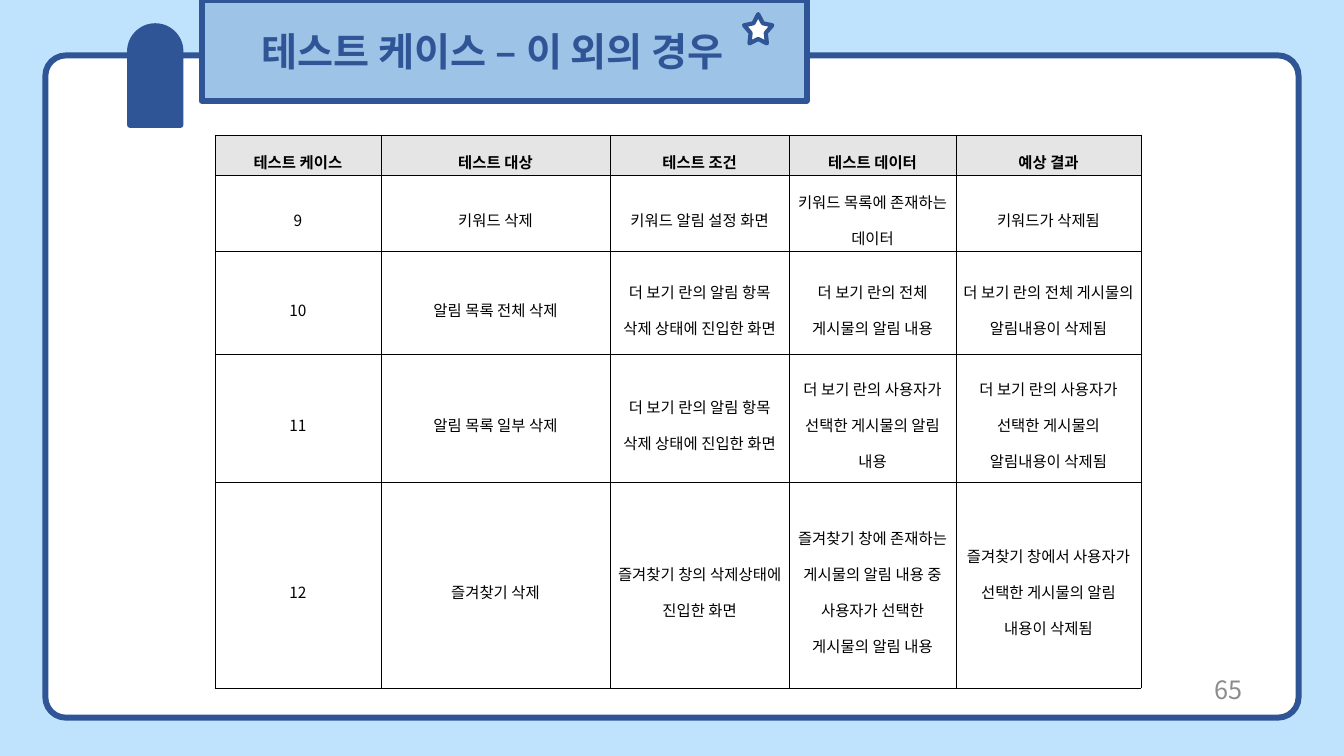
from lxml import etree
from pptx import Presentation
from pptx.dml.color import RGBColor
from pptx.enum.shapes import MSO_SHAPE
from pptx.enum.text import MSO_ANCHOR, PP_ALIGN
from pptx.oxml.ns import qn
from pptx.util import Inches, Pt

ROUND_RECT = MSO_SHAPE.ROUNDED_RECTANGLE
ROUND_TOP = MSO_SHAPE.ROUND_2_SAME_RECTANGLE
STAR = MSO_SHAPE.STAR_5_POINT
MIDDLE = MSO_ANCHOR.MIDDLE
LEFT, CENTER, RIGHT = PP_ALIGN.LEFT, PP_ALIGN.CENTER, PP_ALIGN.RIGHT

COLORS = {
    "sky": "BFE3FD",
    "navy": "2F5597",
    "banner": "9DC3E6",
    "white": "FFFFFF",
    "header": "E5E5E5",
    "black": "000000",
    "gray": "8C8C8C",
}

COL_WIDTHS = [1.65, 2.27, 1.78, 1.65, 1.84]
ROW_HEIGHTS = [0.25, 0.76, 1.02, 1.27, 2.04]
TEST_CASES = [
    ["테스트 케이스", "테스트 대상", "테스트 조건", "테스트 데이터", "예상 결과"],
    ["9", "키워드 삭제", "키워드 알림 설정 화면",
     "키워드 목록에 존재하는 데이터", "키워드가 삭제됨"],
    ["10", "알림 목록 전체 삭제", "더 보기 란의 알림 항목 삭제 상태에 진입한 화면",
     "더 보기 란의 전체 게시물의 알림 내용",
     "더 보기 란의 전체 게시물의 알림내용이 삭제됨"],
    ["11", "알림 목록 일부 삭제", "더 보기 란의 알림 항목 삭제 상태에 진입한 화면",
     "더 보기 란의 사용자가 선택한 게시물의 알림 내용",
     "더 보기 란의 사용자가 선택한 게시물의 알림내용이 삭제됨"],
    ["12", "즐겨찾기 삭제", "즐겨찾기 창의 삭제상태에 진입한 화면",
     "즐겨찾기 창에 존재하는 게시물의 알림 내용 중 사용자가 선택한 게시물의 알림 내용",
     "즐겨찾기 창에서 사용자가 선택한 게시물의 알림 내용이 삭제됨"],
]


def curve(p0, p1, p2, p3, steps=12):
    points = []
    for i in range(steps + 1):
        t = i / steps
        u = 1 - t
        points.append(tuple(
            u**3 * a + 3 * u * u * t * b + 3 * u * t * t * c + t**3 * d
            for a, b, c, d in zip(p0, p1, p2, p3)))
    return points


class Deck:
    font = "Noto Sans CJK KR"

    def __init__(self, width, height):
        self.prs = Presentation()
        self.prs.slide_width = Inches(width)
        self.prs.slide_height = Inches(height)
        self.s = self.prs.slides.add_slide(self.prs.slide_layouts[6])

    def color(self, name):
        return RGBColor.from_string(COLORS[name])

    def background(self, name):
        fill = self.s.background.fill
        fill.solid()
        fill.fore_color.rgb = self.color(name)

    def paint(self, sp, fill, weight):
        sp.shadow.inherit = False
        sp.fill.solid()
        sp.fill.fore_color.rgb = self.color(fill)
        sp.line.color.rgb = self.color("navy")
        sp.line.width = Pt(weight)

    def shape(self, kind, box, fill, weight=4.25, adjust=()):
        sp = self.s.shapes.add_shape(kind, *map(Inches, box))
        for i, value in enumerate(adjust):
            sp.adjustments[i] = value
        self.paint(sp, fill, weight)

    def outline(self, points, fill, weight=4.25):
        builder = self.s.shapes.build_freeform(*points[0], scale=Inches(1))
        builder.add_line_segments(points[1:], close=True)
        sp = builder.convert_to_shape()
        self.paint(sp, fill, weight)
        return sp

    def set_text(self, tf, text, size, color, bold=False, align=LEFT):
        tf.word_wrap = True
        tf.text = text
        p = tf.paragraphs[0]
        p.alignment = align
        r = p.runs[0]
        r.font.size = Pt(size)
        r.font.bold = bold
        r.font.name = self.font
        r.font.color.rgb = self.color(color)
        ea = etree.SubElement(r.font._element, qn("a:ea"))
        ea.set("typeface", self.font)
        return p

    def text(self, box, text, size, color, align):
        tf = self.s.shapes.add_textbox(*map(Inches, box)).text_frame
        self.set_text(tf, text, size, color, align=align)
        tf.vertical_anchor = MIDDLE

    def borders(self, cell):
        tc_pr = cell._tc.get_or_add_tcPr()
        for side in ("a:lnL", "a:lnR", "a:lnT", "a:lnB"):
            ln = etree.SubElement(tc_pr, qn(side), w=str(Pt(0.28)))
            fill = etree.SubElement(ln, qn("a:solidFill"))
            etree.SubElement(fill, qn("a:srgbClr"), val=COLORS["black"])

    def table(self, box, rows, widths, heights):
        frame = self.s.shapes.add_table(len(rows), len(widths), *map(Inches, box))
        table = frame.table
        table.first_row = table.horz_banding = False
        for column, width in zip(table.columns, widths):
            column.width = Inches(width)
        for i, (row, height) in enumerate(zip(rows, heights)):
            table.rows[i].height = Inches(height)
            for j, text in enumerate(row):
                self.cell(table.cell(i, j), text, header=i == 0)

    def cell(self, cell, text, header):
        cell.margin_left = cell.margin_right = Inches(0.06)
        cell.margin_top = cell.margin_bottom = Inches(0.02)
        cell.vertical_anchor = MIDDLE
        self.borders(cell)
        if header:
            cell.fill.solid()
            cell.fill.fore_color.rgb = self.color("header")
        else:
            cell.fill.background()
        p = self.set_text(cell.text_frame, text, 11, "black", header, CENTER)
        p.line_spacing = 1.6


def main():
    deck = Deck(13.33, 7.5)
    deck.background("sky")
    deck.shape(ROUND_RECT, (0.45, 0.55, 12.43, 6.57), "white", adjust=[0.031])
    deck.shape(ROUND_TOP, (1.29, 0.26, 0.5, 0.98), "navy", adjust=[0.5, 0])

    banner = deck.outline([
        (1.6, 0.26),
        *curve((7.39, 0.26), (7.51, 0.26), (7.61, 0.35), (7.61, 0.47)),
        *curve((7.61, 0.73), (7.61, 0.84), (7.51, 0.93), (7.39, 0.93)),
        *curve((2, 0.93), (1.89, 0.93), (1.8, 0.89), (1.76, 0.82)),
        (1.74, 0.77),
        *curve((1.74, 0.42), (1.74, 0.36), (1.7, 0.31), (1.64, 0.28)),
        (1.6, 0.27),
    ], "banner")
    tf = banner.text_frame
    p = deck.set_text(tf, "테스트 케이스 – 이 외의 경우", 28, "navy", bold=True)
    p.level = 1
    p._p.get_or_add_pPr().set("marL", str(Inches(0.5)))
    tf.vertical_anchor = MIDDLE

    deck.shape(STAR, (7.38, 0.14, 0.28, 0.29), "white", 3, [0.269, 1.051, 1.106])
    deck.table((2.13, 1.34, 9.19, 5.42), TEST_CASES, COL_WIDTHS, ROW_HEIGHTS)
    deck.text((9.42, 6.64, 3, 0.4), "65", 18, "gray", RIGHT)
    deck.prs.save("out.pptx")


if __name__ == "__main__":
    main()
